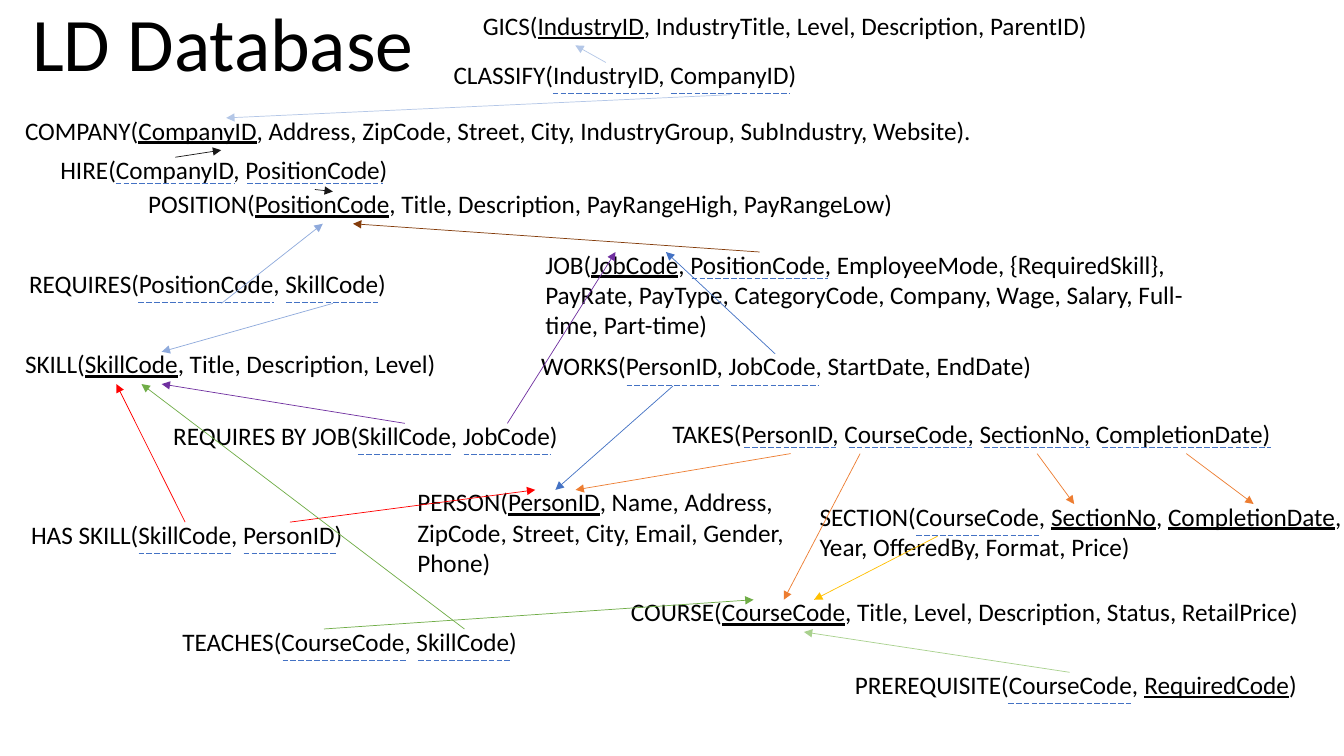
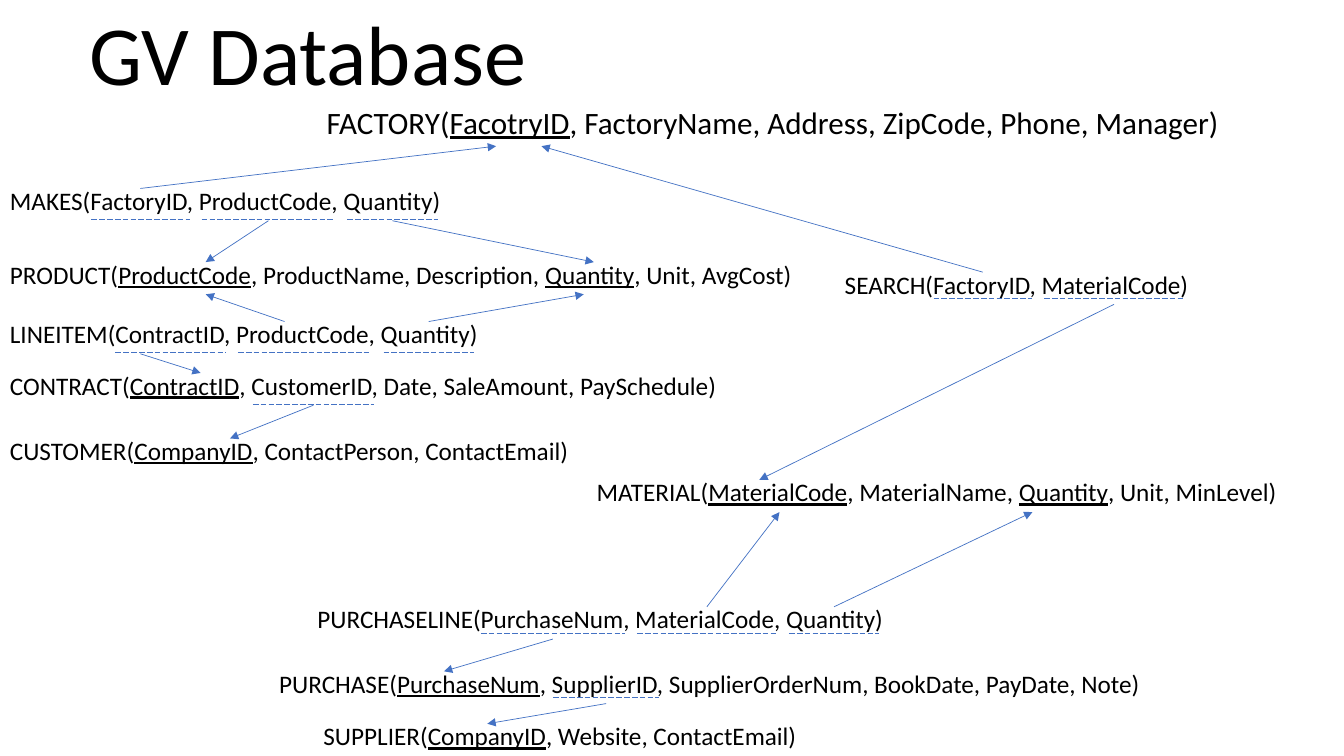
from lxml import etree
from pptx import Presentation
from pptx.dml.color import RGBColor
from pptx.enum.dml import MSO_LINE
from pptx.enum.shapes import MSO_CONNECTOR
from pptx.enum.text import MSO_ANCHOR, MSO_AUTO_SIZE, PP_ALIGN
from pptx.oxml.ns import qn
from pptx.util import Inches, Pt

FONT = "Calibri"
COLORS = {
    "text": "000000", "blue": "4472C4", "red": "FF0000", "purple": "7030A0",
    "mid_blue": "8FAADC", "pale_blue": "B4C7E7", "black": "181717",
    "orange": "ED7D31", "gold": "FFC000", "green": "70AD47",
    "pale_green": "A9D18E", "brown": "843C0B",
}
# Letter widths of the font in hundredths of an em
LETTERS = {
    23: "Iijl ", 25: ",.", 31: "f(){}", 34: "rtJ", 39: "sz", 42: "cLx",
    46: "kvyFS", 49: "aegETY", 53: "bdhnopquPCKBR", 57: "AV", 63: "DGHU",
    66: "NOQ", 72: "w", 80: "m", 86: "M", 89: "W",
}
WIDTHS = {letter: width / 100 for width, letters in LETTERS.items() for letter in letters}

EDGES = {"top": 0.08, "bottom": 0.4}
BODY = {"size": 18, "width": 6.66, "lines": 1, "drop": 0.39, "align": PP_ALIGN.LEFT,
        "anchor": MSO_ANCHOR.TOP, "spacing": 1.0, "before": 0, "grow": True}
TITLE = {"align": PP_ALIGN.CENTER, "anchor": MSO_ANCHOR.BOTTOM, "spacing": 0.9, "grow": False}
SUBTITLE = {"size": 22.2, "width": 9.77, "align": PP_ALIGN.CENTER, "spacing": 0.8,
            "before": 10, "grow": False}
TIGHT = {"drop": 0.34}

# relations: text with *primary* and _foreign_ keys, left, top, format changes
# arrows: colour -> routes from key to key; head and tail shift the ends sideways
SLIDES = [
    {
        "relations": [
            ("LD Database", 0, 0, {**TITLE, "size": 54, "width": 4.42, "height": 0.92}),
            ("GICS(*IndustryID*, IndustryTitle, Level, Description, ParentID)", 4.69, 0.05, {}),
            ("CLASSIFY(_IndustryID_, _CompanyID_)", 4.4, 0.54, {}),
            ("COMPANY(*CompanyID*, Address, ZipCode, Street, City, IndustryGroup, "
             "SubIndustry, Website).", 0.15, 1.09, {"width": 9.77}),
            ("HIRE(_CompanyID_, _PositionCode_)", 0.5, 1.48, TIGHT),
            ("POSITION(*PositionCode*, Title, Description, PayRangeHigh, PayRangeLow)",
             1.37, 1.82, {"width": 7.96}),
            ("REQUIRES(_PositionCode_, _SkillCode_)", 0.19, 2.61, {}),
            ("JOB(*JobCode*, _PositionCode_, EmployeeMode, {RequiredSkill}, PayRate, PayType, "
             "CategoryCode, Company, Wage, Salary, Full-time, Part-time)",
             5.31, 2.42, {**TIGHT, "lines": 3}),
            ("SKILL(*SkillCode*, Title, Description, Level)", 0.15, 3.41, {}),
            ("WORKS(_PersonID_, _JobCode_, StartDate, EndDate)", 5.27, 3.43, {}),
            ("REQUIRES BY JOB(_SkillCode_, _JobCode_)", 1.62, 4.12, {}),
            ("TAKES(_PersonID_, _CourseCode_, _SectionNo_, _CompletionDate_)", 6.57, 4.1, TIGHT),
            ("PERSON(*PersonID*, Name, Address, ZipCode, Street, City, Email, Gender, Phone)",
             4.04, 4.78, {"width": 4.12, "lines": 3}),
            ("SECTION(_CourseCode_, *SectionNo*, *CompletionDate*, Year, OfferedBy, Format, "
             "Price)", 8.03, 4.92, {"width": 5.58, "lines": 2}),
            ("HAS SKILL(_SkillCode_, _PersonID_)", 0.21, 5.1, {}),
            ("COURSE(*CourseCode*, Title, Level, Description, Status, RetailPrice)",
             6.16, 5.87, {"width": 8.36}),
            ("TEACHES(_CourseCode_, _SkillCode_)", 1.71, 6.16, {}),
            ("PREREQUISITE(_CourseCode_, *RequiredCode*)", 8.38, 6.59, {}),
        ],
        "arrows": {
            "red": [("HAS SKILL.PersonID > PERSON.PersonID", {"head": -0.2, "ends": "top top"}),
                    ("HAS SKILL.SkillCode > SKILL.SkillCode", {"head": -0.15})],
            "purple": [("REQUIRES BY JOB.JobCode > JOB.JobCode",
                        {"head": -0.2, "ends": "top top"}),
                       ("REQUIRES BY JOB.SkillCode > SKILL.SkillCode", {"head": 0.3})],
            "mid_blue": [("REQUIRES.SkillCode > SKILL.SkillCode", {"head": 0.3}),
                         ("REQUIRES.PositionCode > POSITION.PositionCode",
                          {"tail": 0.15, "ends": "bottom bottom"})],
            "pale_blue": [("CLASSIFY.IndustryID > GICS.IndustryID", {"head": -0.15}),
                          ("CLASSIFY.CompanyID > COMPANY.CompanyID", {"head": 0.25})],
            "black": [("HIRE.CompanyID > COMPANY.CompanyID", {"head": 0.2}),
                      ("HIRE.PositionCode > POSITION.PositionCode", {"head": 0.1})],
            "orange": [("TAKES.PersonID > PERSON.PersonID", {"head": 0.2}),
                       ("TAKES.CourseCode > COURSE.CourseCode", {"tail": -0.5}),
                       ("TAKES.SectionNo > SECTION.SectionNo", {"head": -0.3}),
                       ("TAKES.CompletionDate > SECTION.CompletionDate", {})],
            "blue": [("WORKS.PersonID > PERSON.PersonID", {}),
                     ("WORKS.JobCode > JOB.JobCode", {"head": 0.3, "ends": "top top"})],
            "gold": [("SECTION.CourseCode > COURSE.CourseCode", {"tail": -0.4, "head": 0.3})],
            "green": [("TEACHES.CourseCode > COURSE.CourseCode",
                       {"tail": -0.2, "head": -0.3, "ends": "top top"}),
                      ("TEACHES.SkillCode > SKILL.SkillCode", {"head": 0.1})],
            "pale_green": [("PREREQUISITE.CourseCode > COURSE.CourseCode", {"head": 0.2})],
            "brown": [("JOB.PositionCode > POSITION.PositionCode", {"head": 0.3})],
        },
    },
    {
        "relations": [
            ("GV Database", 0, 0, {**TITLE, "size": 60, "width": 6.1, "height": 1.08}),
            ("FACTORY(*FacotryID*, FactoryName, Address, ZipCode, Phone, Manager)",
             2.78, 1.05, SUBTITLE),
            ("MAKES(_FactoryID_, _ProductCode_, _Quantity_)", 0, 1.79, {}),
            ("PRODUCT(*ProductCode*, ProductName, Description, *Quantity*, Unit, AvgCost)",
             0, 2.52, {"width": 8.28}),
            ("SEARCH(_FactoryID_, _MaterialCode_)", 8.28, 2.62, TIGHT),
            ("LINEITEM(_ContractID_, _ProductCode_, _Quantity_)", 0, 3.11, {}),
            ("CONTRACT(*ContractID*, _CustomerID_, Date, SaleAmount, PaySchedule)",
             0, 3.62, {"width": 8.04}),
            ("CUSTOMER(*CompanyID*, ContactPerson, ContactEmail)", 0, 4.27, {}),
            ("MATERIAL(*MaterialCode*, MaterialName, *Quantity*, Unit, MinLevel)",
             5.82, 4.68, {"width": 7.14}),
            ("PURCHASELINE(_PurchaseNum_, _MaterialCode_, _Quantity_)", 3.05, 5.94, TIGHT),
            ("PURCHASE(*PurchaseNum*, _SupplierID_, SupplierOrderNum, BookDate, PayDate, Note)",
             2.67, 6.58, {**TIGHT, "width": 8.82}),
            ("SUPPLIER(*CompanyID*, Website, ContactEmail)", 3.11, 7.1, {}),
        ],
        "arrows": {
            "blue": [
                ("MAKES.FactoryID > FACTORY.FacotryID", {"head": -0.15}),
                ("MAKES.ProductCode > PRODUCT.ProductCode", {"head": 0.2}),
                ("MAKES.Quantity > PRODUCT.Quantity", {}),
                ("LINEITEM.ProductCode > PRODUCT.ProductCode", {"tail": -0.2, "head": 0.2}),
                ("LINEITEM.Quantity > PRODUCT.Quantity", {"head": -0.1}),
                ("LINEITEM.ContractID > CONTRACT.ContractID", {"tail": -0.3, "head": 0.15}),
                ("CONTRACT.CustomerID > CUSTOMER.CompanyID", {"head": 0.35}),
                ("SEARCH.FactoryID > FACTORY.FacotryID", {"head": 0.3}),
                ("SEARCH.MaterialCode > MATERIAL.MaterialCode", {"head": -0.2}),
                ("PURCHASELINE.MaterialCode > MATERIAL.MaterialCode", {}),
                ("PURCHASELINE.Quantity > MATERIAL.Quantity", {"head": -0.35}),
                ("PURCHASELINE.PurchaseNum > PURCHASE.PurchaseNum", {"head": -0.25}),
                ("PURCHASE.SupplierID > SUPPLIER.CompanyID", {}),
            ],
        },
    },
]


def rgb(name):
    return RGBColor.from_string(COLORS[name])


def text_width(text, size):
    return sum(WIDTHS.get(letter, 0.3) for letter in text) * size / 72


def split_keys(text):
    """Yield (part, mark): mark is * for a primary key, _ for a foreign key."""
    for i, chunk in enumerate(text.split("*")):
        for j, part in enumerate(chunk.split("_")):
            yield part, "*" if i % 2 else "_" if j % 2 else ""


def add_line(slide, ends, color, arrow=False):
    sp = slide.shapes.add_connector(MSO_CONNECTOR.STRAIGHT, *map(Inches, ends))
    sp.line.width = Pt(0.5)
    sp.line.color.rgb = rgb(color)
    if arrow:
        etree.SubElement(sp.line._get_or_add_ln(), qn("a:tailEnd"), type="triangle")
    else:
        sp.line.dash_style = MSO_LINE.LONG_DASH
    etree.SubElement(sp._element.spPr, qn("a:effectLst"))


def add_relation(slide, text, left, top, changes):
    """Add the text and its dashed rules; return {name.key: (centre, top)}."""
    fmt = {**BODY, **changes}
    size, width = fmt["size"], fmt["width"]
    height = fmt.get("height", 0.1 + 0.3 * fmt["lines"])
    tf = slide.shapes.add_textbox(*map(Inches, (left, top, width, height))).text_frame
    tf.word_wrap = True
    tf.auto_size = MSO_AUTO_SIZE.SHAPE_TO_FIT_TEXT if fmt["grow"] else MSO_AUTO_SIZE.NONE
    tf.vertical_anchor = fmt["anchor"]
    p = tf.paragraphs[0]
    p.alignment, p.line_spacing = fmt["align"], fmt["spacing"]
    p.space_before = Pt(fmt["before"])

    parts = list(split_keys(text))
    plain = "".join(part for part, _ in parts)
    x = left + 0.1
    if fmt["align"] == PP_ALIGN.CENTER:
        x = left + (width - text_width(plain, size)) / 2
    keys = {}
    for part, mark in parts:
        r = p.add_run()
        r.text = part
        look = {"name": FONT, "size": Pt(size), "underline": mark == "*"}
        for name, value in look.items():
            setattr(r.font, name, value)
        r.font.color.rgb = rgb("text")
        end = x + text_width(part, size)
        if mark:
            keys[f"{plain.split('(')[0]}.{part}"] = ((x + end) / 2, top)
        if mark == "_":
            y = top + fmt["drop"]
            add_line(slide, (x, y, end, y), "blue")
        x = end
    return keys


def add_arrow(slide, keys, route, shift, color):
    source, target = route.split(" > ")
    (x1, y1), (x2, y2) = keys[source], keys[target]
    facing = "bottom top" if y2 > y1 else "top bottom"
    start, end = shift.get("ends", facing).split()
    ends = (x1 + shift.get("tail", 0), y1 + EDGES[start],
            x2 + shift.get("head", 0), y2 + EDGES[end])
    add_line(slide, ends, color, arrow=True)


def main():
    prs = Presentation()
    prs.slide_width, prs.slide_height = Inches(13.33), Inches(7.5)
    for content in SLIDES:
        slide = prs.slides.add_slide(prs.slide_layouts[6])
        keys = {}
        for relation in content["relations"]:
            keys.update(add_relation(slide, *relation))
        for color, arrows in content["arrows"].items():
            for route, shift in arrows:
                add_arrow(slide, keys, route, shift, color)
    prs.save("out.pptx")


if __name__ == "__main__":
    main()
